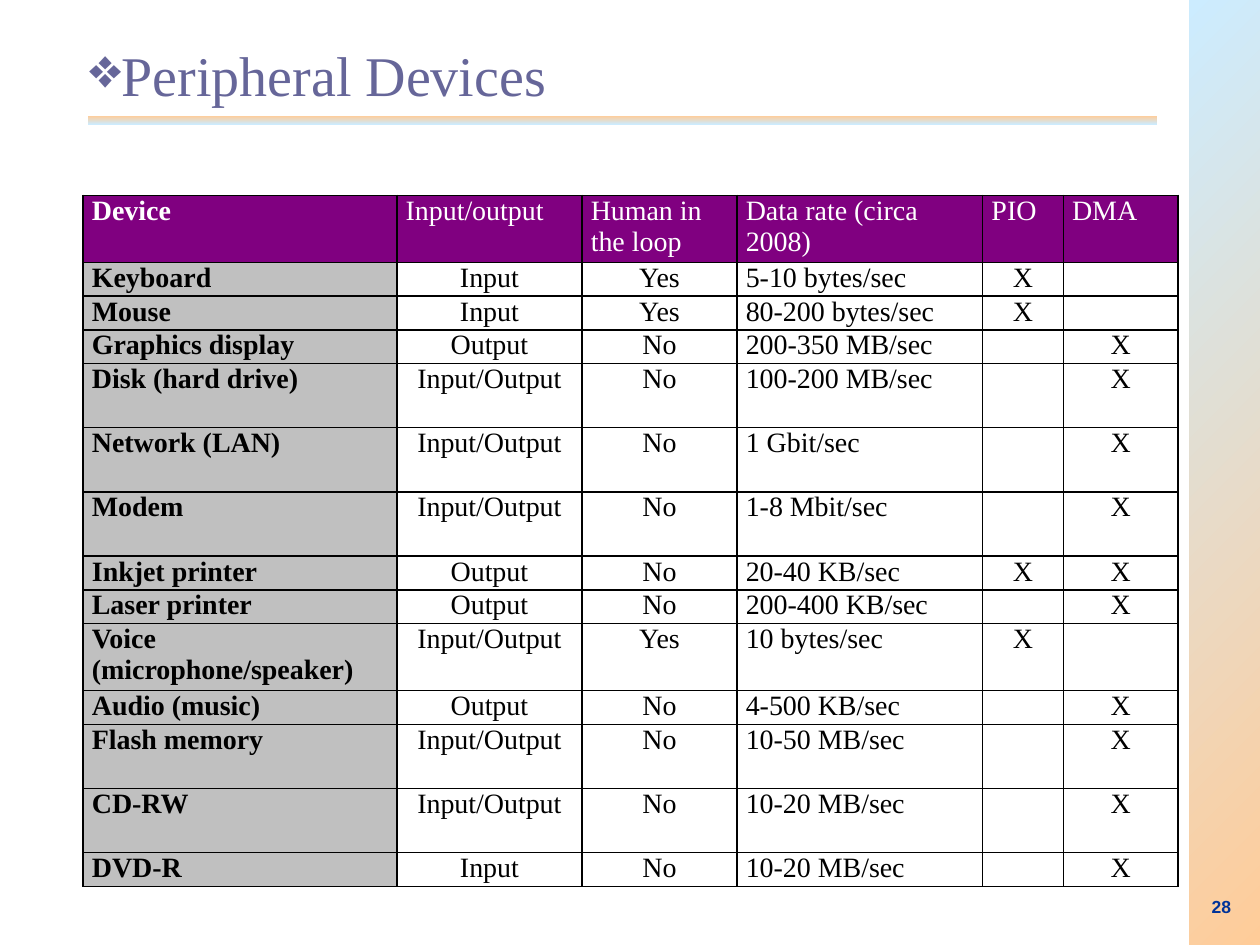
from pptx import Presentation
from pptx.dml.color import RGBColor
from pptx.enum import shapes, text
from pptx.oxml.xmlchemy import OxmlElement
from pptx.util import Inches, Pt

BLACK = RGBColor(0x00, 0x00, 0x00)
WHITE = RGBColor(0xFF, 0xFF, 0xFF)
PURPLE = RGBColor(0x80, 0x00, 0x80)
GREY = RGBColor(0xC0, 0xC0, 0xC0)
SLATE = RGBColor(0x66, 0x66, 0x99)
NAVY = RGBColor(0x00, 0x33, 0x99)
PEACH = RGBColor(0xFF, 0xCC, 0x99)
SKY = RGBColor(0xCC, 0xEC, 0xFF)

SERIF = "Times New Roman"
LEFT, CENTER, RIGHT = text.PP_ALIGN.LEFT, text.PP_ALIGN.CENTER, text.PP_ALIGN.RIGHT

COLUMN_WIDTHS = (2.49, 1.47, 1.23, 1.95, 0.64, 0.91)
COLUMN_ALIGNMENTS = (LEFT, CENTER, CENTER, LEFT, CENTER, CENTER)
LINE_HEIGHT = 0.255
HEADER = ("Device", "Input/output", "Human in the loop", "Data rate (circa 2008)", "PIO", "DMA")
DEVICES = (
    ("Keyboard", "Input", "Yes", "5-10 bytes/sec", "X", ""),
    ("Mouse", "Input", "Yes", "80-200 bytes/sec", "X", ""),
    ("Graphics display", "Output", "No", "200-350 MB/sec", "", "X"),
    ("Disk (hard drive)", "Input/Output", "No", "100-200 MB/sec", "", "X"),
    ("Network (LAN)", "Input/Output", "No", "1 Gbit/sec", "", "X"),
    ("Modem", "Input/Output", "No", "1-8 Mbit/sec", "", "X"),
    ("Inkjet printer", "Output", "No", "20-40 KB/sec", "X", "X"),
    ("Laser printer", "Output", "No", "200-400 KB/sec", "", "X"),
    ("Voice (microphone/speaker)", "Input/Output", "Yes", "10 bytes/sec", "X", ""),
    ("Audio (music)", "Output", "No", "4-500 KB/sec", "", "X"),
    ("Flash memory", "Input/Output", "No", "10-50 MB/sec", "", "X"),
    ("CD-RW", "Input/Output", "No", "10-20 MB/sec", "", "X"),
    ("DVD-R", "Input", "No", "10-20 MB/sec", "", "X"),
)


def format_font(font, name, size, color, bold=False):
    font.name = name
    font.size = Pt(size)
    font.bold = bold
    font.color.rgb = color


def set_margins(frame, horizontal, vertical):
    frame.margin_left = frame.margin_right = Inches(horizontal)
    frame.margin_top = frame.margin_bottom = Inches(vertical)


def add_gradient_bar(slide, left, top, width, height, angle, rotation=0):
    """Add a peach-to-sky bar; the angle runs counter-clockwise."""
    bar = slide.shapes.add_shape(shapes.MSO_SHAPE.RECTANGLE, Inches(left), Inches(top),
                                 Inches(width), Inches(height))
    bar.shadow.inherit = False
    bar.line.fill.background()
    bar.rotation = rotation
    bar.fill.gradient()
    bar.fill.gradient_angle = angle
    for stop, color, position in zip(bar.fill.gradient_stops, (PEACH, SKY), (0, 1)):
        stop.color.rgb = color
        stop.position = position


def format_title(title):
    title.left, title.top = Inches(0.61), Inches(0.17)
    title.width, title.height = Inches(8.5), Inches(0.83)
    frame = title.text_frame
    frame.text = "Peripheral Devices"
    frame.auto_size = text.MSO_AUTO_SIZE.NONE
    frame.vertical_anchor = text.MSO_ANCHOR.MIDDLE
    set_margins(frame, 0.1, 0.05)
    paragraph = frame.paragraphs[0]
    paragraph.alignment = LEFT
    format_font(paragraph.runs[0].font, SERIF, 32, SLATE)
    bullet = OxmlElement("a:buChar")
    bullet.set("char", "❖")
    paragraph._p.get_or_add_pPr().append(bullet)


def add_slide_number(slide):
    box = slide.shapes.add_textbox(Inches(9.28), Inches(7.11), Inches(0.58), Inches(0.17))
    frame = box.text_frame
    frame.word_wrap = True
    set_margins(frame, 0.09, 0)
    frame.text = "28"
    frame.paragraphs[0].alignment = RIGHT
    format_font(frame.paragraphs[0].runs[0].font, "Arial", 10, NAVY, bold=True)


def add_cell_borders(cell):
    properties = cell._tc.get_or_add_tcPr()
    for side in ("lnL", "lnR", "lnT", "lnB"):
        line = OxmlElement(f"a:{side}")
        line.set("w", str(Pt(1)))
        fill = OxmlElement("a:solidFill")
        color = OxmlElement("a:srgbClr")
        color.set("val", str(BLACK))
        fill.append(color)
        line.append(fill)
        properties.append(line)


def fill_cell(cell, wording, alignment, color, bold, background):
    set_margins(cell, 0.07, 0)
    add_cell_borders(cell)
    if background is None:
        cell.fill.background()
    else:
        cell.fill.solid()
        cell.fill.fore_color.rgb = background
    paragraph = cell.text_frame.paragraphs[0]
    paragraph.alignment = alignment
    if wording:
        run = paragraph.add_run()
        run.text = wording
        format_font(run.font, SERIF, 16, color, bold)
    else:
        # An empty cell would otherwise take the default size and stretch its row.
        paragraph._p.get_or_add_endParaRPr().set("sz", "1600")


def add_device_table(slide):
    rows = (HEADER,) + DEVICES
    heights = [LINE_HEIGHT * (2 if row is HEADER or row[1] == "Input/Output" else 1)
               for row in rows]
    frame = slide.shapes.add_table(len(rows), len(HEADER), Inches(0.66), Inches(1.55),
                                   Inches(sum(COLUMN_WIDTHS)), Inches(sum(heights)))
    table = frame.table
    table.first_row = table.horz_banding = False
    for column, width in zip(table.columns, COLUMN_WIDTHS):
        column.width = Inches(width)
    for row_index, (row, height) in enumerate(zip(rows, heights)):
        table.rows[row_index].height = Inches(height)
        is_header = row_index == 0
        for column_index, wording in enumerate(row):
            is_device = column_index == 0
            fill_cell(table.cell(row_index, column_index), wording,
                      LEFT if is_header else COLUMN_ALIGNMENTS[column_index],
                      WHITE if is_header else BLACK, is_device,
                      PURPLE if is_header else GREY if is_device else None)


def main():
    presentation = Presentation()
    presentation.slide_width, presentation.slide_height = Inches(10), Inches(7.5)
    slide = presentation.slides.add_slide(presentation.slide_layouts[5])
    add_gradient_bar(slide, 0.7, 0.92, 8.48, 0.07, angle=270)
    add_gradient_bar(slide, 5.97, 3.47, 7.5, 0.56, angle=45, rotation=270)
    add_slide_number(slide)
    format_title(slide.shapes.title)
    add_device_table(slide)
    presentation.save("out.pptx")


if __name__ == "__main__":
    main()
